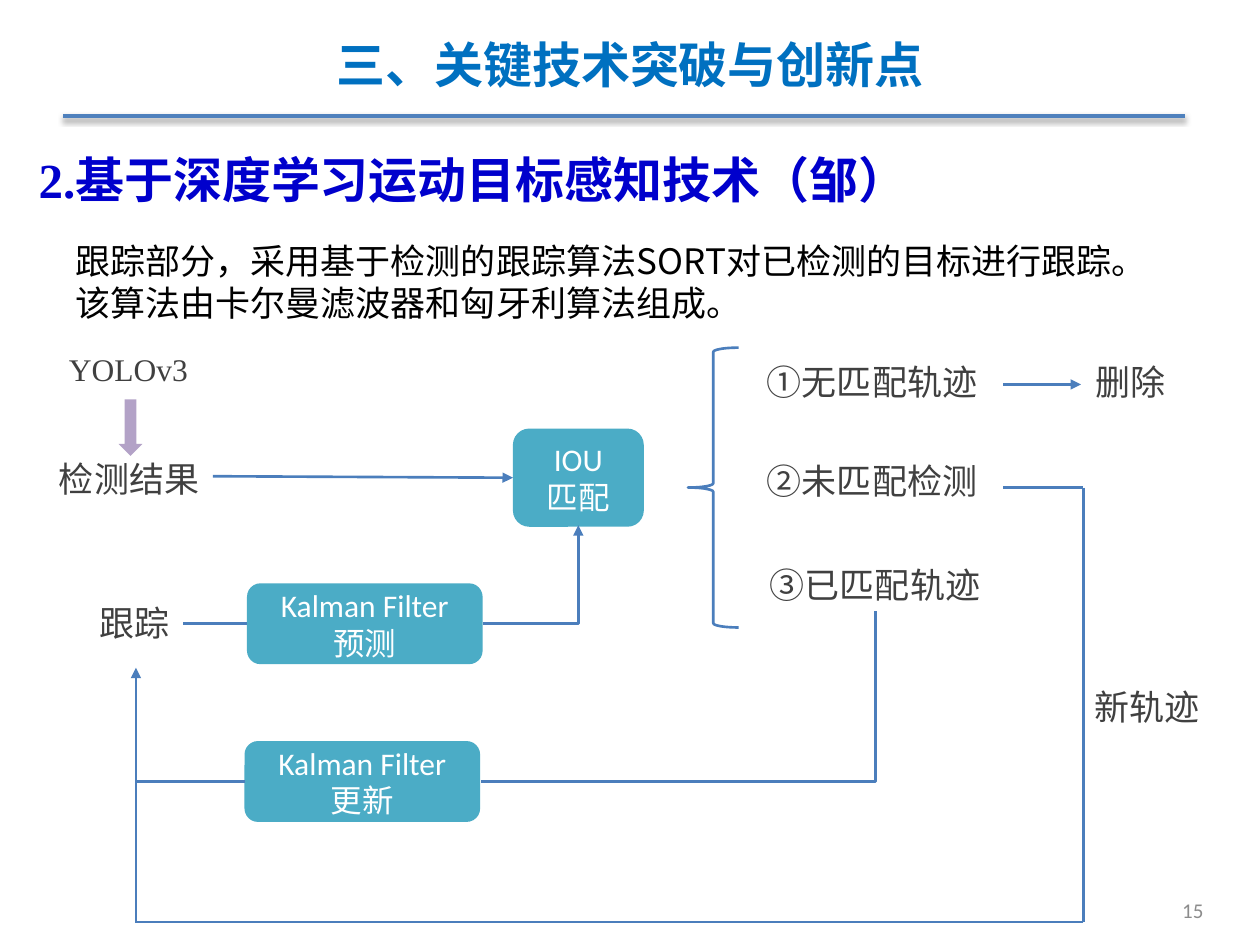
"""Build the slide on SORT tracking with its Kalman filter and IOU matching flow."""
from lxml import etree
from pptx import Presentation
from pptx.dml.color import RGBColor
from pptx.enum.shapes import MSO_CONNECTOR, MSO_SHAPE
from pptx.enum.text import MSO_ANCHOR, MSO_AUTO_SIZE, PP_ALIGN
from pptx.oxml.ns import qn
from pptx.util import Cm, Pt

STRAIGHT, ELBOW = MSO_CONNECTOR.STRAIGHT, MSO_CONNECTOR.ELBOW
LEFT, CENTER, RIGHT = PP_ALIGN.LEFT, PP_ALIGN.CENTER, PP_ALIGN.RIGHT
TOP, MIDDLE = MSO_ANCHOR.TOP, MSO_ANCHOR.MIDDLE
CJK, LATIN, SERIF = "Noto Sans CJK SC", "Calibri", "Times New Roman"
FLOW, GREY, TEAL = "4B7EBC", "404040", "4BACC6"

TITLE = "三、关键技术突破与创新点"
HEADING = "2.基于深度学习运动目标感知技术（邹）"
BODY = "跟踪部分，采用基于检测的跟踪算法SORT对已检测的目标进行跟踪。该算法由卡尔曼滤波器和匈牙利算法组成。"
LABELS = [
    ("①无匹配轨迹", 15.21, 7.14, 4.78),
    ("②未匹配检测", 15.21, 9.14, 4.78),
    ("③已匹配轨迹", 15.27, 11.23, 4.78),
    ("检测结果", 0.94, 9.09, 3.35),
    ("跟踪", 1.75, 12.01, 1.93),
    ("删除", 21.84, 7.14, 1.93),
    ("新轨迹", 21.82, 13.69, 2.64),
]
BOXES = [
    (("Kalman Filter", "更新"), (4.93, 14.94, 4.75, 1.63)),
    (("IOU", "匹配"), (10.34, 8.64, 2.64, 1.98)),
    (("Kalman Filter", "预测"), (4.98, 11.76, 4.75, 1.63)),
]
LINES = [
    ((4.93, 15.75), (2.72, 15.75)),
    ((4.98, 12.57), (3.68, 12.57)),
    ((20.22, 9.83), (21.84, 9.83)),
    ((21.84, 9.83), (21.84, 18.59)),
    ((21.84, 18.59), (2.72, 18.59)),
]
ARROWS = [
    ((4.29, 9.6), (10.34, 9.63)),
    ((20.22, 7.75), (21.79, 7.75)),
    ((2.74, 18.59), (2.74, 13.46)),
]


def rgb(value):
    return RGBColor.from_string(value)


def write(shape, lines, font, size, color, align=LEFT, anchor=TOP, bold=False):
    tf = shape.text_frame
    tf.vertical_anchor = anchor
    tf.text = "\n".join(lines)
    for p in tf.paragraphs:
        p.alignment = align
        p.font.name, p.font.size, p.font.bold = font, Pt(size), bold
        p.font.color.rgb = rgb(color)
        props = p._p.get_or_add_pPr().find(qn("a:defRPr"))
        etree.SubElement(props, qn("a:ea"), typeface=CJK)
    return tf


def text_box(s, text, at, font, size, color, wrap=False, **style):
    box = s.shapes.add_textbox(*map(Cm, at))
    tf = write(box, [text], font, size, color, **style)
    tf.word_wrap = wrap
    return tf


def preset(s, kind, at, fill=None):
    sp = s.shapes.add_shape(kind, *map(Cm, at))
    sp.shadow.inherit = False
    if fill:
        sp.fill.solid()
        sp.fill.fore_color.rgb = rgb(fill)
        sp.line.fill.background()
    else:
        sp.fill.background()
        sp.line.color.rgb = rgb(FLOW)
        sp.line.width = Pt(1.5)
    return sp


def connect(s, start, end, kind=STRAIGHT, arrow=False, color=FLOW, width=1.5):
    line = s.shapes.add_connector(kind, *map(Cm, start + end))
    line.line.color.rgb = rgb(color)
    line.line.width = Pt(width)
    props = line._element.spPr
    if kind == ELBOW:
        props.find(qn("a:prstGeom")).set("prst", "bentConnector2")
    if arrow:
        etree.SubElement(props.find(qn("a:ln")), qn("a:tailEnd"), type="triangle")
    return etree.SubElement(props, qn("a:effectLst"))


def main():
    prs = Presentation()
    prs.slide_width, prs.slide_height = Cm(25.4), Cm(19.05)
    s = prs.slides.add_slide(prs.slide_layouts[5])

    title = s.shapes.title
    title.left, title.top, title.width, title.height = map(Cm, (1.27, 0.51, 22.86, 1.55))
    write(title, [TITLE], CJK, 28, "0070C0", CENTER, MIDDLE, True)

    tf = text_box(s, HEADING, (0.53, 2.41, 18.29, 1.93), SERIF, 28, "0000CC", bold=True)
    tf.paragraphs[0].line_spacing = 1.4

    effects = connect(s, (1.27, 2.34), (23.88, 2.34), color="4F81BD", width=2)
    shadow = etree.SubElement(effects, qn("a:outerShdw"), blurRad=str(Pt(3.1)),
                              dist=str(Pt(1.6)), dir="5400000", rotWithShape="0")
    black = etree.SubElement(shadow, qn("a:srgbClr"), val="000000")
    etree.SubElement(black, qn("a:alpha"), val="38000")

    text_box(s, "15", (18.59, 18.03, 5.92, 0.64), LATIN, 12, "8C8C8C", True,
             align=RIGHT, anchor=MIDDLE)
    tf = text_box(s, BODY, (1.27, 4.7, 22.35, 1.96), CJK, 20, "000000", True)
    tf.auto_size = MSO_AUTO_SIZE.SHAPE_TO_FIT_TEXT

    for lines, at in BOXES:
        box = preset(s, MSO_SHAPE.ROUNDED_RECTANGLE, at, TEAL)
        write(box, lines, LATIN, 18, "FFFFFF", CENTER, MIDDLE)
    preset(s, MSO_SHAPE.LEFT_BRACE, (13.87, 7.01, 1.02, 5.64))
    preset(s, MSO_SHAPE.RIGHT_ARROW, (2.06, 8.38, 1.14, 0.48), "B3A2C7").rotation = 90

    text_box(s, "YOLOv3", (1.14, 6.93, 2.95, 1.02), SERIF, 18, GREY)
    for text, left, top, width in LABELS:
        text_box(s, text, (left, top, width, 1.12), CJK, 20, GREY)

    for start, end in LINES:
        connect(s, start, end)
    for start, end in ARROWS:
        connect(s, start, end, arrow=True)
    connect(s, (9.7, 15.75), (17.65, 12.32), ELBOW)
    connect(s, (9.73, 12.57), (11.66, 10.59), ELBOW, arrow=True)

    prs.save("out.pptx")


if __name__ == "__main__":
    main()
